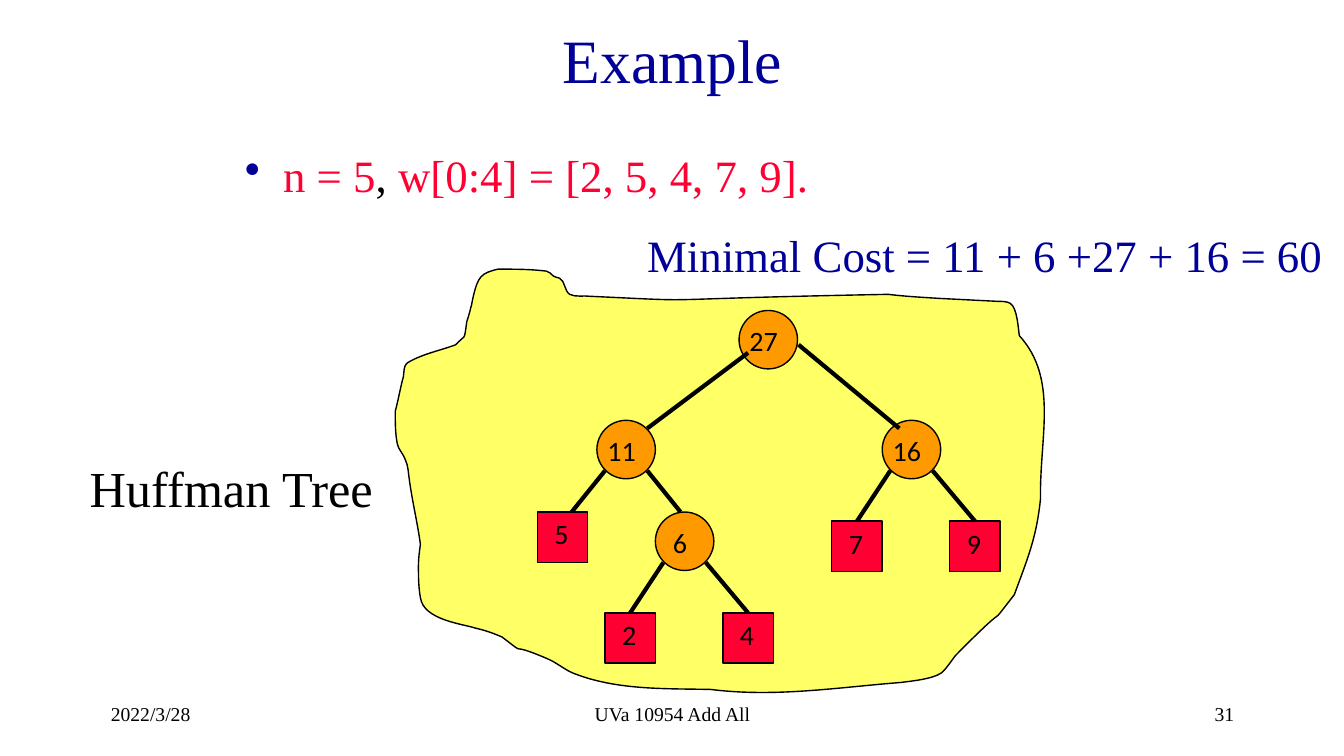
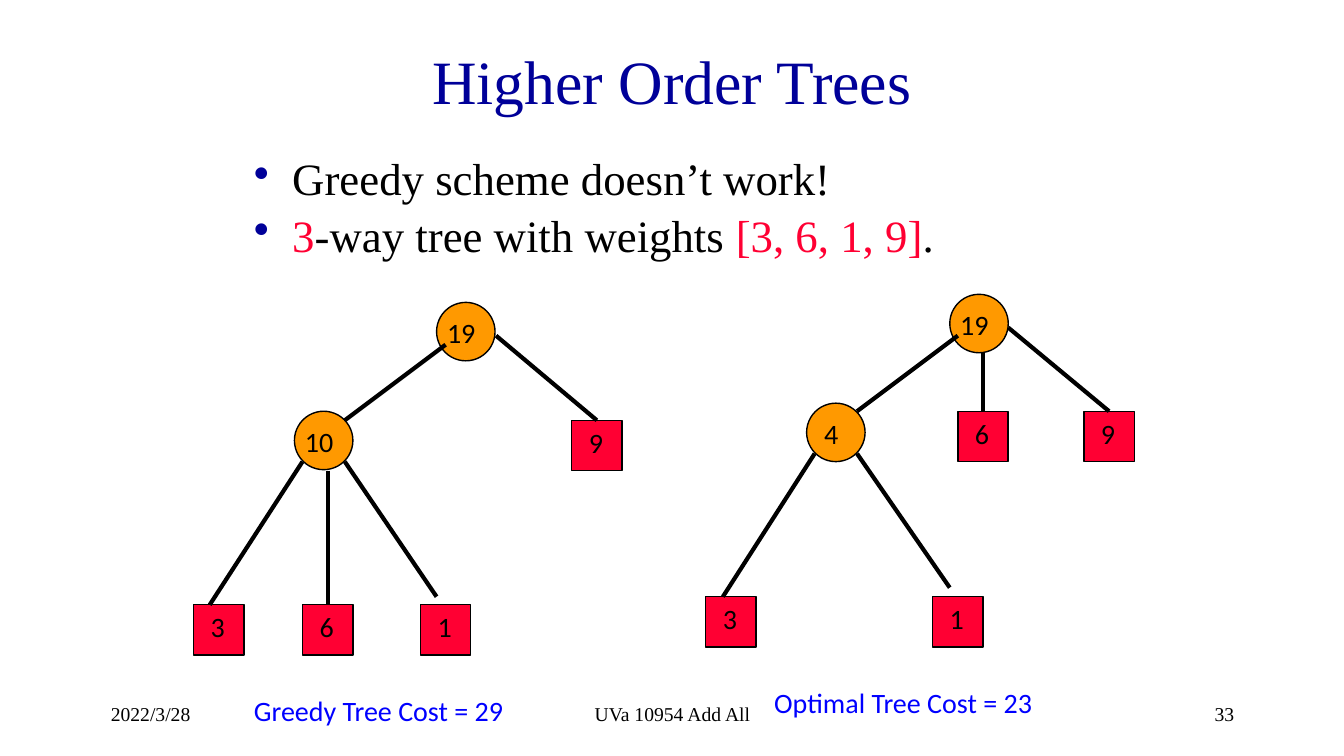
"""Build two slides on Huffman trees and higher order trees."""
from lxml.etree import SubElement
from pptx import Presentation
from pptx.dml.color import RGBColor
from pptx.enum.shapes import MSO_CONNECTOR as Link, MSO_SHAPE as Kind
from pptx.enum.text import MSO_ANCHOR as Anchor, PP_ALIGN as Align
from pptx.oxml.ns import qn
from pptx.util import Inches, Pt

NAVY, RED, BLACK, BLUE = "000099", "FF0033", "000000", "0000FF"
ORANGE, YELLOW = "FF9900", "FFFF66"
SERIF, SANS = "Times New Roman", "Calibri"
BOX, DISC = 0.5, 0.58

CLOUD = [
    (4.36, 3.48, 4.19, 3.51, 4.04, 3.6), (4, 3.63, 4.01, 3.69, 4, 3.74),
    (3.97, 3.85, 3.95, 3.97, 3.92, 4.08), (3.92, 4.19, 3.92, 4.3, 3.94, 4.4),
    (3.95, 4.46, 4, 4.5, 4.02, 4.56), (4.05, 4.62, 4.05, 4.7, 4.06, 4.76),
    (4.09, 4.98, 4.14, 5.18, 4.17, 5.4), (4.16, 5.47, 4.15, 5.54, 4.15, 5.61),
    (4.15, 5.72, 4.15, 5.82, 4.17, 5.93), (4.2, 6.15, 4.59, 6.19, 4.71, 6.23),
    (4.8, 6.25, 4.89, 6.28, 4.98, 6.32), (5.27, 6.54, 4.98, 6.34, 5.44, 6.54),
    (5.53, 6.58, 5.61, 6.65, 5.69, 6.68), (6.12, 6.85, 6.61, 6.83, 7.05, 6.84),
    (7.69, 6.92, 8.3, 6.82, 8.94, 6.77), (9.01, 6.76, 9.24, 6.74, 9.33, 6.68),
    (9.37, 6.66, 9.46, 6.52, 9.48, 6.5), (10.1, 5.87, 9.74, 6.31, 10.06, 5.9),
    (10.2, 5.52, 10.28, 5.33, 10.32, 4.95), (10.31, 4.33, 10.5, 3.76, 10.11, 3.33),
    (10.1, 3.27, 10.09, 3.05, 10.02, 3.01), (9.99, 2.99, 9.94, 2.99, 9.9, 2.99),
    (9.7, 2.98, 9.51, 2.97, 9.31, 2.96), (9.15, 2.95, 8.97, 2.94, 8.81, 2.92),
    (6.18, 2.97, 7.16, 3, 5.86, 2.94), (5.79, 2.93, 5.71, 2.95, 5.65, 2.92),
    (5.6, 2.89, 5.6, 2.78, 5.55, 2.76), (5.53, 2.75, 5.5, 2.75, 5.49, 2.74),
    (5.46, 2.72, 5.45, 2.69, 5.42, 2.69), (5.26, 2.67, 5.1, 2.67, 4.94, 2.67),
    (4.77, 2.71, 4.74, 2.74, 4.69, 2.96), (4.68, 2.99, 4.68, 3.03, 4.67, 3.05),
    (4.66, 3.1, 4.63, 3.19, 4.63, 3.19), (4.6, 3.4, 4.62, 3.31, 4.52, 3.42),
]

PAGES = [
    dict(
        title="Example", spot=(2.42, 0, 8.5, 1.17), num="31", cloud=CLOUD,
        body=(2.33, 1.42, 8.5, 0.67), pitch=1.0,
        points=[[("n = 5", RED), (", ", BLACK), ("w[0:4] = [2, 5, 4, 7, 9].", RED)]],
        discs=[("27", 7.33, 3.08), ("11", 5.92, 4.17), ("16", 8.75, 4.17),
               ("6", 6.5, 5.08)],
        leaves=[("5", 5.33, 5.08), ("2", 6, 6.08), ("4", 7.17, 6.08),
                ("7", 8.25, 5.17), ("9", 9.42, 5.17)],
        edges=[(7.42, 3.5, 6.42, 4.25), (7.92, 3.42, 8.92, 4.25),
               (6, 4.67, 5.67, 5.08), (6.42, 4.67, 6.75, 5.08),
               (6.58, 5.58, 6.25, 6.08), (7, 5.58, 7.42, 6.08),
               (8.83, 4.67, 8.5, 5.17), (9.25, 4.67, 9.67, 5.17)],
        notes=[("Minimal Cost = 11 + 6 +27 + 16 = 60", (6.32, 2.21, 7.02, 0.64),
                32, SERIF, NAVY),
               ("Huffman Tree", (0.79, 4.49, 3.06, 0.71), 36, SERIF, BLACK)],
    ),
    dict(
        title="Higher Order Trees", spot=(1, 0.17, 11.33, 1.25), num="33", cloud=[],
        body=(2.42, 1.51, 8.5, 1.25), pitch=0.9,
        points=[[("Greedy scheme doesn’t work!", BLACK)],
                [("3", RED), ("-way tree with weights ", BLACK),
                 ("[3, 6, 1, 9]", RED), (".", BLACK)]],
        discs=[("19", 4.33, 3), ("10", 2.92, 4.08), ("19", 9.42, 2.92), ("4", 8, 4)],
        leaves=[("9", 5.67, 4.17), ("3", 1.92, 6), ("6", 3, 6), ("1", 4.17, 6),
                ("3", 7, 5.92), ("6", 9.5, 4.08), ("1", 9.25, 5.92),
                ("9", 10.75, 4.08)],
        edges=[(4.42, 3.42, 3.42, 4.17), (4.92, 3.33, 5.92, 4.17),
               (3, 4.58, 2.08, 6), (3.42, 4.58, 4.33, 5.92), (3.25, 4.67, 3.25, 6),
               (9.5, 3.33, 8.5, 4.08), (10, 3.25, 11, 4.08), (9.75, 3.5, 9.75, 4.08),
               (8.08, 4.5, 7.17, 5.92), (8.5, 4.5, 9.42, 5.83)],
        notes=[("Greedy Tree Cost = 29", (2.42, 6.83, 3.42, 0.43), 20, SANS, BLUE),
               ("Optimal Tree Cost = 23", (7.58, 6.75, 3.42, 0.43), 20, SANS, BLUE)],
    ),
]


def hue(code):
    """Turn a hex string into a colour."""
    return RGBColor.from_string(code)


def style(shape, text, size, face, code, align=Align.LEFT, anchor=Anchor.TOP):
    """Set and format the one-line text of a shape."""
    frame = shape.text_frame
    frame.text = text
    frame.word_wrap = True
    frame.vertical_anchor = anchor
    para = frame.paragraphs[0]
    para.alignment = align
    font = para.runs[0].font
    font.size, font.name, font.color.rgb = Pt(size), face, hue(code)


deck = Presentation()
deck.slide_width, deck.slide_height = Inches(13.33), Inches(7.5)

for page in PAGES:
    slide = deck.slides.add_slide(deck.slide_layouts[5])
    shapes = slide.shapes

    head = shapes.title
    head.left, head.top, head.width, head.height = map(Inches, page["spot"])
    style(head, page["title"], 44, SERIF, NAVY, Align.CENTER, Anchor.MIDDLE)

    if page["cloud"]:
        dots = [(Inches(c[i]), Inches(c[i + 1]))
                for c in page["cloud"] for i in (0, 2, 4)]
        pen = shapes.build_freeform(*dots[-1])
        pen.add_line_segments(dots, close=True)
        blob = pen.convert_to_shape()
        steps = list(blob._element.iter(qn("a:lnTo")))[:len(dots)]
        for i in range(0, len(steps), 3):
            curve = steps[i].makeelement(qn("a:cubicBezTo"))
            steps[i].addprevious(curve)
            for step in steps[i:i + 3]:
                curve.append(step[0])
                step.getparent().remove(step)
        blob.shadow.inherit = False
        blob.fill.solid()
        blob.fill.fore_color.rgb = hue(YELLOW)
        blob.line.color.rgb = hue(BLACK)
        blob.line.width = Pt(1)

    frame = shapes.add_textbox(*map(Inches, page["body"])).text_frame
    frame.word_wrap = True
    for i, parts in enumerate(page["points"]):
        para = frame.add_paragraph() if i else frame.paragraphs[0]
        props = para._p.get_or_add_pPr()
        props.set("marL", str(Inches(0.38)))
        props.set("indent", str(-Inches(0.38)))
        SubElement(SubElement(props, qn("a:buClr")), qn("a:srgbClr")).set("val", NAVY)
        SubElement(props, qn("a:buChar")).set("char", "•")
        para.line_spacing = page["pitch"]
        if i:
            para.space_before = Pt(5.5)
        for text, code in parts:
            run = para.add_run()
            run.text = text
            font = run.font
            font.size, font.name, font.color.rgb = Pt(32), SERIF, hue(code)

    tops = {}
    for kind, size, code, nodes, pads in (
        (Kind.OVAL, DISC, ORANGE, page["discs"], (0, 0.02, 0.09, 0)),
        (Kind.RECTANGLE, BOX, RED, page["leaves"], (0, 0, 0.02, 0.07)),
    ):
        for text, x, y in nodes:
            node = shapes.add_shape(kind, *map(Inches, (x, y, size, size)))
            node.shadow.inherit = False
            node.fill.solid()
            node.fill.fore_color.rgb = hue(code)
            node.line.color.rgb = hue(BLACK)
            node.line.width = Pt(1)
            style(node, text, 20, SANS, BLACK, Align.CENTER, Anchor.MIDDLE)
            frame = node.text_frame
            (frame.margin_left, frame.margin_top,
             frame.margin_right, frame.margin_bottom) = map(Inches, pads)
            if kind == Kind.RECTANGLE:
                tops[round(x + size / 2, 2), y] = node

    for edge in page["edges"]:
        line = shapes.add_connector(Link.STRAIGHT, *map(Inches, edge))
        line.line.color.rgb = hue(BLACK)
        line.line.width = Pt(3)
        SubElement(line._element.spPr, qn("a:effectLst"))
        if edge[2:] in tops:
            line.end_connect(tops[edge[2:]], 0)

    for text, spot, size, face, code in page["notes"]:
        style(shapes.add_textbox(*map(Inches, spot)), text, size, face, code)

    for text, x, wide, align in (
        ("2022/3/28", 1, 2.78, Align.LEFT),
        ("UVa 10954 Add All", 4.56, 4.22, Align.CENTER),
        (page["num"], 9.56, 2.78, Align.RIGHT),
    ):
        foot = shapes.add_textbox(*map(Inches, (x, 6.83, wide, 0.5)))
        style(foot, text, 14, SERIF, BLACK, align, Anchor.MIDDLE)

deck.save("out.pptx")
